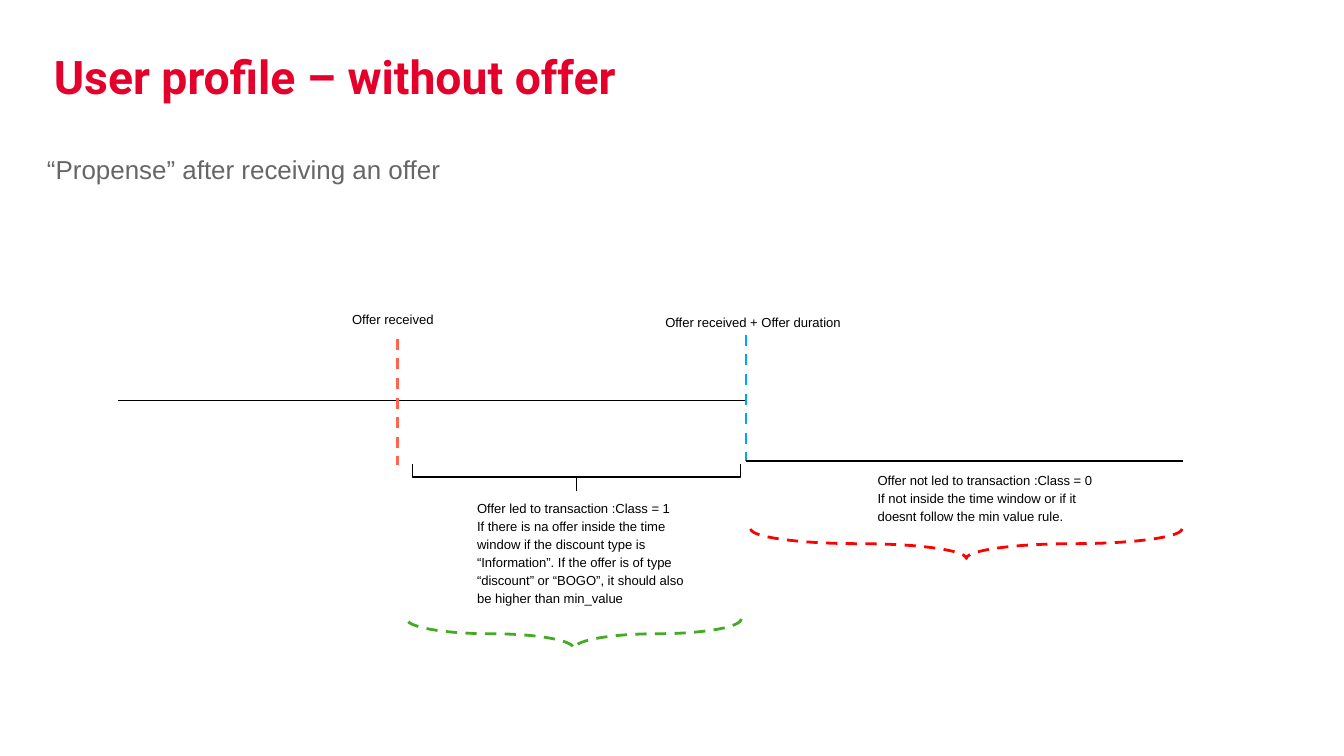
from dataclasses import dataclass

from lxml import etree
from pptx import Presentation
from pptx.dml.color import RGBColor
from pptx.enum.dml import MSO_LINE
from pptx.enum.shapes import MSO_CONNECTOR, MSO_SHAPE
from pptx.enum.text import MSO_ANCHOR, MSO_AUTO_SIZE, PP_ALIGN
from pptx.oxml.ns import qn
from pptx.slide import Slide
from pptx.text.text import TextFrame
from pptx.util import Emu, Pt

STRAIGHT = MSO_CONNECTOR.STRAIGHT
LEFT_BRACE = MSO_SHAPE.LEFT_BRACE
DASH = MSO_LINE.DASH
LEFT = PP_ALIGN.LEFT
TOP = MSO_ANCHOR.TOP
FIXED_SIZE = MSO_AUTO_SIZE.NONE

EMU_PER_PX = 4572  # 200 px to the inch
SLIDE_WIDTH, SLIDE_HEIGHT = 2000, 1125
TITLE_ONLY = 5

COLORS = {
    "title": "E4002B",
    "subtitle": "666666",
    "ink": "000000",
    "received": "FF644E",
    "expiry": "00A2FF",
    "converted": "45AA21",
    "missed": "FF0000",
}

RECEIVED_X, EXPIRY_X = 592, 1110
TIMELINE_Y, MISSED_Y = 596, 686


@dataclass(frozen=True)
class Line:
    start: tuple[int, int]
    end: tuple[int, int]
    color: str = "ink"
    dashed: bool = False


@dataclass(frozen=True)
class Brace:
    """A brace that points down; curl 0 makes it a square bracket."""
    left: int
    top: int
    span: int
    depth: int
    color: str = "ink"
    curl: float = 0
    dashed: bool = False


@dataclass(frozen=True)
class Note:
    left: int
    top: int
    width: int
    height: int
    paragraphs: tuple[str, ...]
    size: float = 7
    color: str = "ink"


LINES = [
    Line((176, TIMELINE_Y), (EXPIRY_X, TIMELINE_Y)),
    Line((RECEIVED_X, 504), (RECEIVED_X, 692), "received", True),
    Line((EXPIRY_X, 498), (EXPIRY_X, MISSED_Y), "expiry", True),
    Line((EXPIRY_X, MISSED_Y), (1760, MISSED_Y)),
]

BRACES = [
    Brace(614, 690, 488, 40),
    Brace(605, 921, 498, 44, "converted", 8.75, True),
    Brace(1117, 787, 642, 44, "missed", 8.75, True),
]

NOTES = [
    Note(60, 212, 680, 70, ("“Propense” after receiving an offer",), 13.9, "subtitle"),
    Note(514, 450, 156, 44, ("Offer received",)),
    Note(980, 454, 302, 44, ("Offer received + Offer duration",)),
    Note(700, 732, 334, 180, (
        "Offer led to transaction :Class = 1",
        "If there is na offer inside the time window if the discount type is "
        "“Information”. If the offer is of type “discount” or “BOGO”, "
        "it should also be higher than min_value",
    )),
    Note(1296, 690, 374, 100, (
        "Offer not led to transaction :Class = 0",
        "If not inside the time window or if it doesnt follow the min value rule.",
    )),
]


def px(length: float) -> Emu:
    return Emu(round(length * EMU_PER_PX))


def rgb(name: str) -> RGBColor:
    return RGBColor.from_string(COLORS[name])


def style_line(shape, color: str, dashed: bool) -> None:
    shape.line.color.rgb = rgb(color)
    shape.line.width = Pt(1.5 if dashed else 0.75)
    if dashed:
        shape.line.dash_style = DASH


def draw_line(slide: Slide, line: Line) -> None:
    connector = slide.shapes.add_connector(
        STRAIGHT, *map(px, line.start + line.end))
    style_line(connector, line.color, line.dashed)
    properties = connector._element.find(qn("p:spPr"))
    etree.SubElement(properties, qn("a:effectLst"))


def draw_brace(slide: Slide, brace: Brace) -> None:
    """Place the upright shape so that its quarter turn fills the brace's box."""
    shift = (brace.span - brace.depth) / 2
    shape = slide.shapes.add_shape(
        LEFT_BRACE, px(brace.left + shift), px(brace.top - shift),
        px(brace.depth), px(brace.span))
    shape.rotation = 270
    shape.adjustments[0] = brace.curl
    shape.shadow.inherit = False
    shape.fill.background()
    style_line(shape, brace.color, brace.dashed)


def set_up_frame(frame: TextFrame, inset: int) -> None:
    frame.word_wrap = True
    frame.auto_size = FIXED_SIZE
    frame.vertical_anchor = TOP
    frame.margin_left = frame.margin_right = px(inset)
    frame.margin_top = frame.margin_bottom = px(inset)


def draw_note(slide: Slide, note: Note) -> None:
    box = slide.shapes.add_textbox(
        px(note.left), px(note.top), px(note.width), px(note.height))
    frame = box.text_frame
    set_up_frame(frame, 10)
    frame.text = "\n".join(note.paragraphs)
    for paragraph in frame.paragraphs:
        paragraph.line_spacing = 1.15
        paragraph.font.name = "Arial"
        paragraph.font.size = Pt(note.size)
        paragraph.font.color.rgb = rgb(note.color)


def draw_title(slide: Slide, text: str) -> None:
    title = slide.shapes.title
    title.left, title.top = px(60), px(52)
    title.width, title.height = px(1490), px(124)
    frame = title.text_frame
    set_up_frame(frame, 20)
    frame.text = text
    paragraph = frame.paragraphs[0]
    paragraph.alignment = LEFT
    paragraph.font.name = "Roboto"
    paragraph.font.size = Pt(24.8)
    paragraph.font.bold = True
    paragraph.font.color.rgb = rgb("title")


def main() -> None:
    presentation = Presentation()
    presentation.slide_width = px(SLIDE_WIDTH)
    presentation.slide_height = px(SLIDE_HEIGHT)
    slide = presentation.slides.add_slide(presentation.slide_layouts[TITLE_ONLY])
    draw_title(slide, "User profile – without offer")
    for line in LINES:
        draw_line(slide, line)
    for brace in BRACES:
        draw_brace(slide, brace)
    for note in NOTES:
        draw_note(slide, note)
    presentation.save("out.pptx")


if __name__ == "__main__":
    main()
